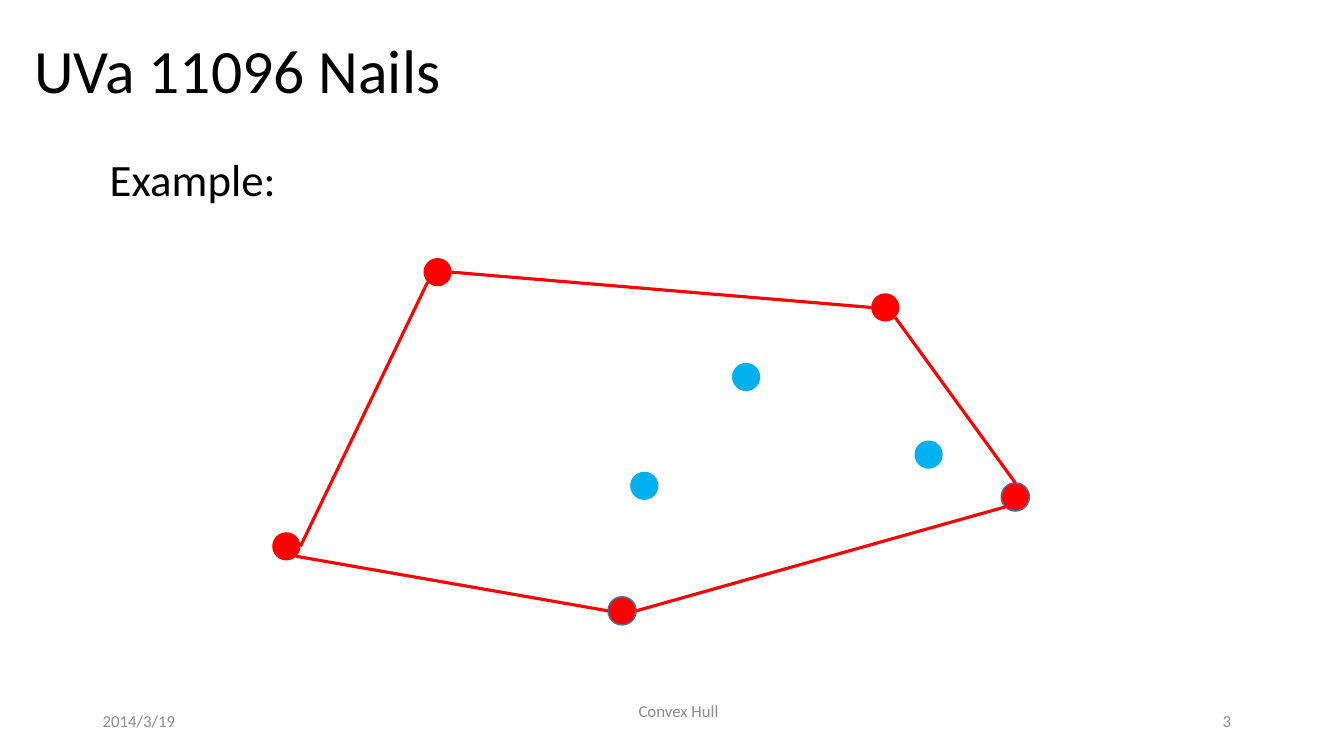
import math

from pptx import Presentation
from pptx import util as u
from pptx.dml.color import RGBColor
from pptx.enum import shapes, text
from pptx.oxml.ns import qn
from lxml import etree

COLORS = {
    "black": "000000",
    "gray": "8C8C8C",
    "hull": "FF0000",
    "inner": "00B0F0",
    "outline": "43739E",
}
FONT = "Calibri"
DIAMETER = 0.28
LEFT, CENTER, RIGHT = (text.PP_ALIGN.LEFT, text.PP_ALIGN.CENTER, text.PP_ALIGN.RIGHT)
TOP, MIDDLE = text.MSO_ANCHOR.TOP, text.MSO_ANCHOR.MIDDLE

HULL_NAILS = {
    "top": (4.2, 2.56, None),
    "upper right": (8.64, 2.91, None),
    "right": (9.93, 4.79, "outline"),
    "bottom": (6.03, 5.92, "outline"),
    "left": (2.7, 5.28, None),
}
INNER_NAILS = [(9.07, 4.37), (7.26, 3.6), (6.25, 4.68)]
HULL_EDGES = [
    ("top", 0, "upper right", 180),
    ("upper right", 45, "right", 270),
    ("right", 135, "bottom", 0),
    ("bottom", 180, "left", 45),
    ("left", 0, "top", 135),
]
FOOTERS = [
    ("2014/3/19", (0.92, 6.95, 3, 0.4), LEFT),
    ("Convex Hull", (4.48, 6.85, 4.5, 0.4), CENTER),
    ("3", (9.31, 6.95, 3, 0.4), RIGHT),
]


def rgb(name):
    return RGBColor.from_string(COLORS[name])


class HullSlide:
    def __init__(self, prs):
        self.slide = prs.slides.add_slide(prs.slide_layouts[5])
        self.shapes = self.slide.shapes

    def set_text(self, sp, words, size, color, align, anchor):
        tf = sp.text_frame
        tf.word_wrap = True
        tf.auto_size = text.MSO_AUTO_SIZE.NONE
        tf.vertical_anchor = anchor
        p = tf.paragraphs[0]
        p.text = words
        p.alignment = align
        p.font.name = FONT
        p.font.size = u.Pt(size)
        p.font.color.rgb = rgb(color)
        return p

    def title(self, words, box):
        sp = self.shapes.title
        sp.left, sp.top, sp.width, sp.height = map(u.Inches, box)
        p = self.set_text(sp, words, 44, "black", LEFT, MIDDLE)
        p.line_spacing = 0.9

    def label(self, words, box, size, color, align=LEFT, anchor=TOP):
        sp = self.shapes.add_textbox(*map(u.Inches, box))
        self.set_text(sp, words, size, color, align, anchor)

    def nail(self, left, top, fill, outline=None):
        box = map(u.Inches, (left, top, DIAMETER, DIAMETER))
        sp = self.shapes.add_shape(shapes.MSO_SHAPE.OVAL, *box)
        sp.shadow.inherit = False
        sp.fill.solid()
        sp.fill.fore_color.rgb = rgb(fill)
        if outline:
            sp.line.color.rgb = rgb(outline)
            sp.line.width = u.Pt(1)
        else:
            sp.line.fill.background()

    def rim(self, name, degrees):
        left, top, _ = HULL_NAILS[name]
        radius, angle = DIAMETER / 2, math.radians(degrees)
        return (u.Inches(left + radius + radius * math.cos(angle)),
                u.Inches(top + radius + radius * math.sin(angle)))

    def edge(self, start, start_angle, end, end_angle):
        line = self.shapes.add_connector(
            shapes.MSO_CONNECTOR.STRAIGHT,
            *self.rim(start, start_angle), *self.rim(end, end_angle))
        line.line.color.rgb = rgb("hull")
        line.line.width = u.Pt(2.25)
        etree.SubElement(line._element.spPr, qn("a:effectLst"))


def main():
    prs = Presentation()
    prs.slide_width, prs.slide_height = u.Inches(13.33), u.Inches(7.5)
    s = HullSlide(prs)
    s.title("UVa 11096 Nails", (0.24, 0, 11.5, 1.45))
    s.label("Example:", (0.99, 1.46, 2.27, 0.64), 32, "black")
    for words, box, align in FOOTERS:
        s.label(words, box, 12, "gray", align, MIDDLE)
    for left, top, outline in HULL_NAILS.values():
        s.nail(left, top, "hull", outline)
    for left, top in INNER_NAILS:
        s.nail(left, top, "inner")
    for edge in HULL_EDGES:
        s.edge(*edge)
    prs.save("out.pptx")


if __name__ == "__main__":
    main()
